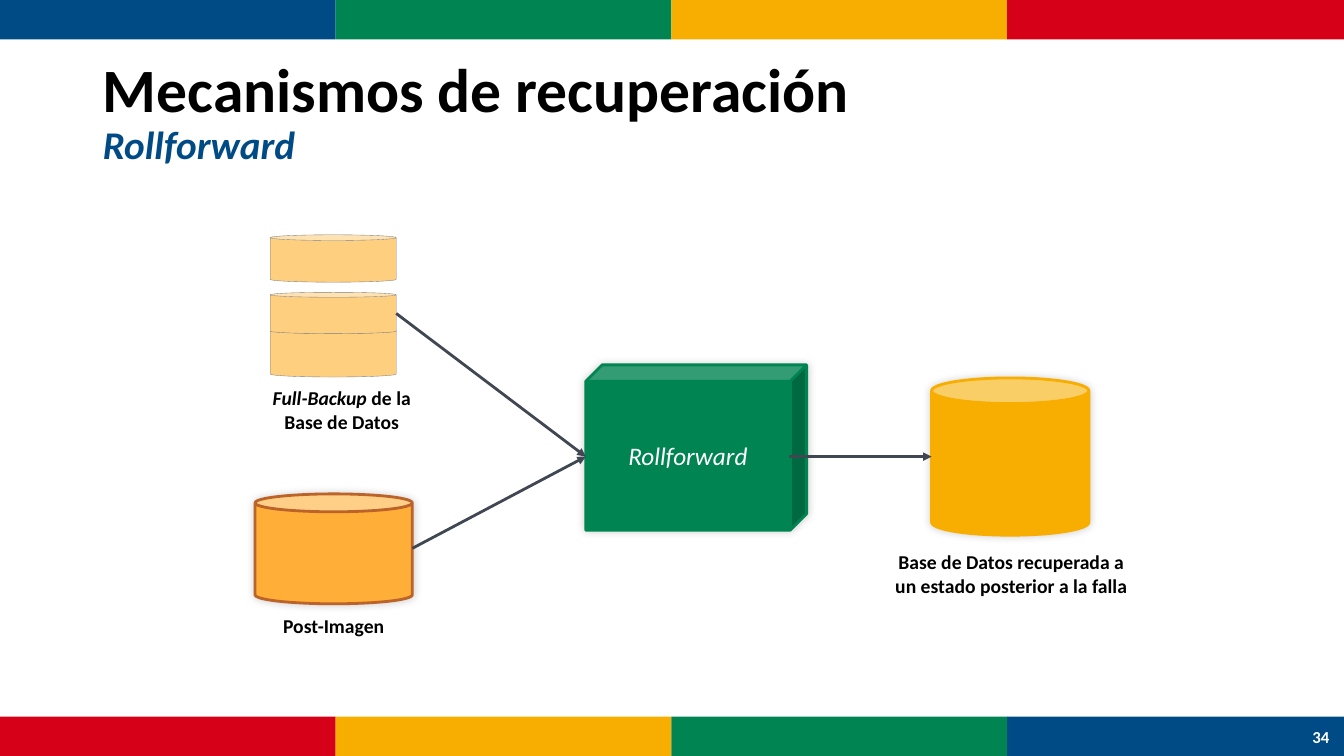
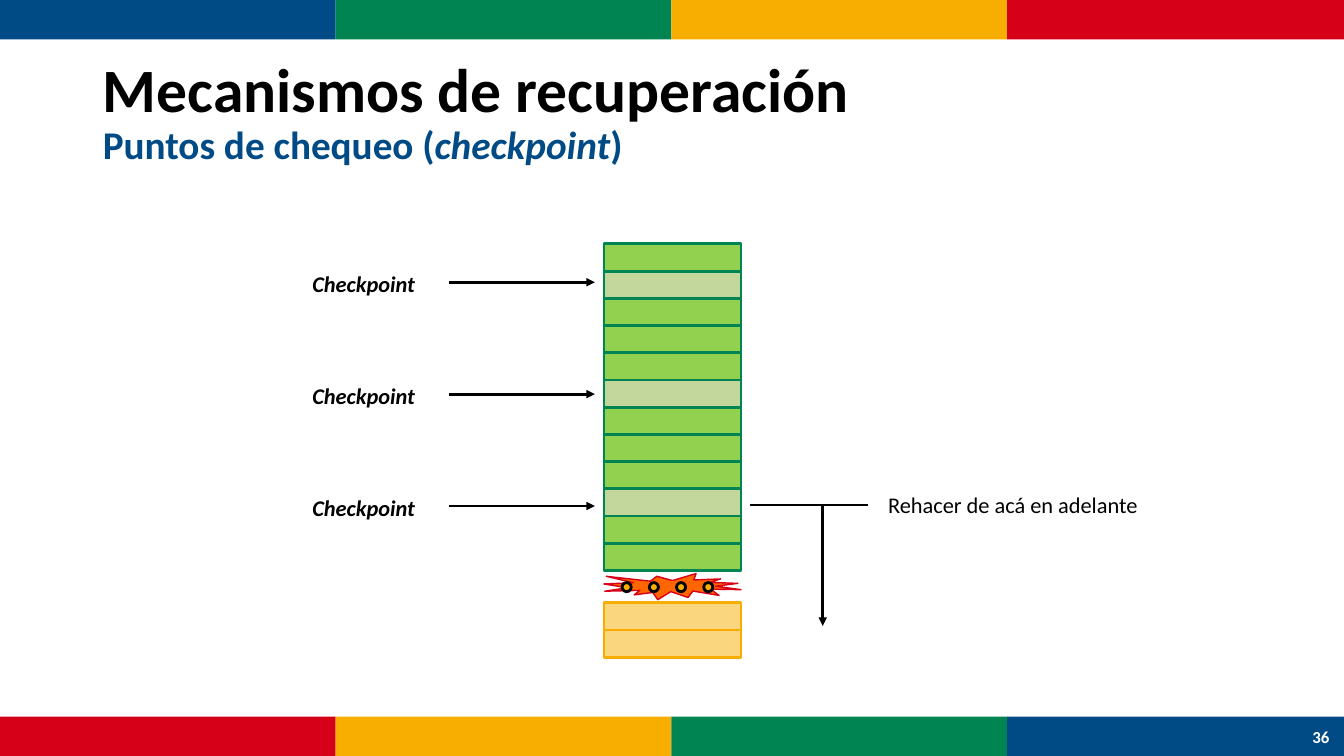
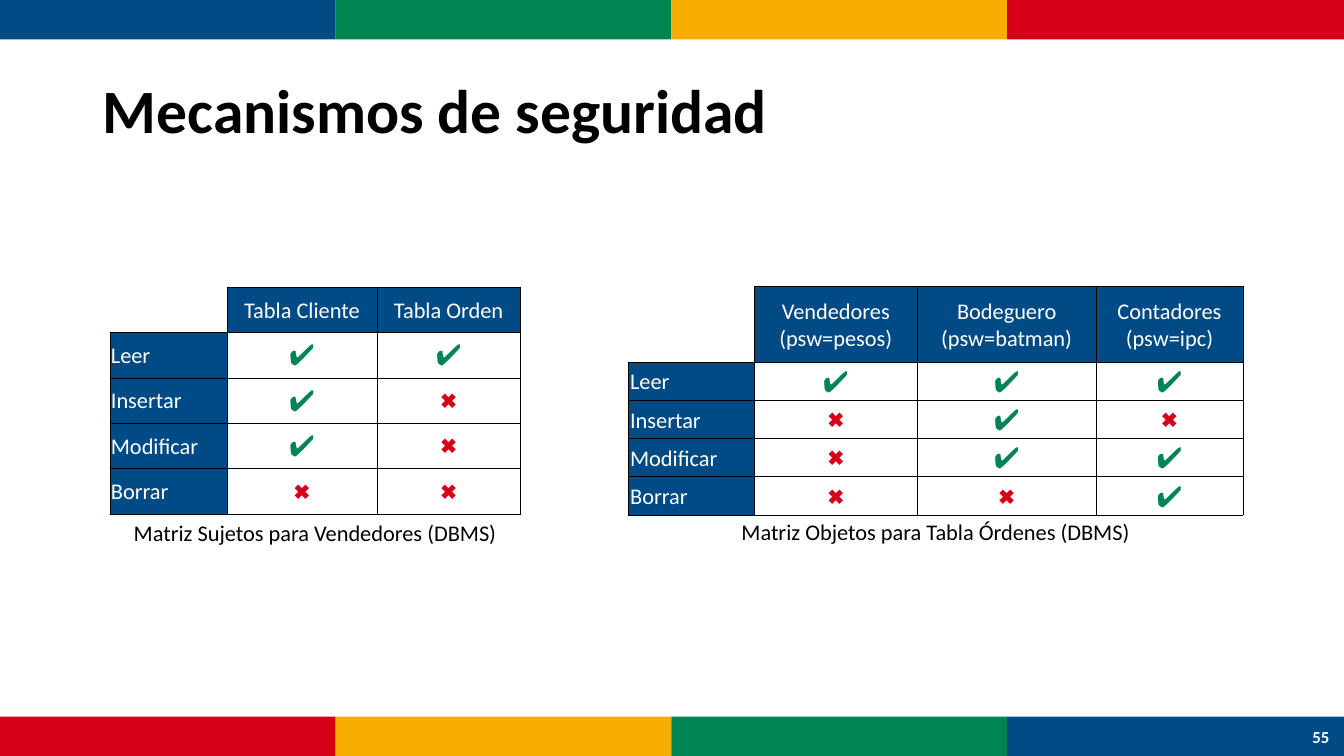
from dataclasses import dataclass, replace
from typing import Optional

from lxml import etree
from pptx import Presentation
from pptx.dml.color import RGBColor
from pptx.enum import shapes, text
from pptx.oxml.ns import qn
from pptx import util as u

PX = 9144
WIDTH, HEIGHT, BAND = 1333, 750, 39
COLORS = {
    "blue": "004B85", "green": "008452", "amber": "F7AE00", "red": "D60019",
    "black": "000000", "white": "FFFFFF", "slate": "414752", "rust": "BC6329",
    "orange": "FFAE37", "peach": "FFCF80", "gray": "808080", "lime": "92D050",
    "sage": "C3D69B", "flame": "FF6600",
}
BAND_COLORS = ("blue", "green", "amber", "red")
KIND = shapes.MSO_SHAPE
CENTER, LEFT = text.PP_ALIGN.CENTER, text.PP_ALIGN.LEFT
MIDDLE, TOP = text.MSO_ANCHOR.MIDDLE, text.MSO_ANCHOR.TOP


@dataclass(frozen=True)
class Style:
    size: int = 16
    color: str = "black"
    bold: bool = False
    italic: bool = False
    font: str = "Calibri"


@dataclass(frozen=True)
class Span:
    words: str
    style: Style = Style()


@dataclass(frozen=True)
class Area:
    left: int
    top: int
    width: int
    height: int

    def emu(self) -> list:
        return [px(n) for n in (self.left, self.top, self.width, self.height)]


@dataclass(frozen=True)
class Look:
    fill: str
    line: Optional[str] = None
    points: float = 2
    alpha: int = 100
    glow: bool = False


@dataclass(frozen=True)
class Matrix:
    area: Area
    columns: tuple
    rows: tuple
    margin: int
    headers: tuple
    marks: tuple
    caption: str


TITLE = Style(44, bold=True)
SUBTITLE = Style(28, "blue", bold=True)
CAPTION = Style(14, bold=True)
CHECKPOINT = Style(16, bold=True, italic=True)
HEADER = Style(16, "white")
MARKS = {"✔": Style(21, "green", font="Arial"), "✖": Style(15, "red", bold=True, font="Arial")}
ACTIONS = ("Leer", "Insertar", "Modificar", "Borrar")
MATRICES = (
    Matrix(Area(109, 285, 407, 225), (116, 149, 142), (45,) * 5, 1,
           ("Tabla Cliente", "Tabla Orden"), ("✔✔", "✔✖", "✔✖", "✖✖"),
           "Matriz Sujetos para Vendedores (DBMS)"),
    Matrix(Area(623, 284, 610, 225), (125, 162, 177, 146), (75,) + (38,) * 4, 2,
           ("Vendedores\n(psw=pesos)", "Bodeguero\n(psw=batman)", "Contadores\n(psw=ipc)"),
           ("✔✔✔", "✖✔✖", "✖✔✔", "✖✖✔"),
           "Matriz Objetos para Tabla Órdenes (DBMS)"),
)


def px(count: int) -> u.Emu:
    return u.Emu(count * PX)


def rgb(name: str) -> RGBColor:
    return RGBColor.from_string(COLORS[name])


def write(frame, *spans: Span, align=LEFT, anchor=TOP):
    frame.word_wrap = True
    frame.vertical_anchor = anchor
    para = frame.paragraphs[0]
    para.alignment = align
    for span in spans:
        for number, line in enumerate(span.words.split("\n")):
            if number:
                para.add_line_break()
            if not line:
                continue
            run = para.add_run()
            run.text = line
            run.font.name = span.style.font
            run.font.size = u.Pt(span.style.size)
            run.font.bold = span.style.bold
            run.font.italic = span.style.italic
            run.font.color.rgb = rgb(span.style.color)
    return para


def add_label(page, area: Area, *spans: Span, align=LEFT, anchor=TOP):
    box = page.shapes.add_textbox(*area.emu())
    write(box.text_frame, *spans, align=align, anchor=anchor)
    return box


def add_figure(page, kind, area: Area, look: Look, adjust: Optional[float] = None):
    figure = page.shapes.add_shape(kind, *area.emu())
    figure.shadow.inherit = False
    figure.fill.solid()
    figure.fill.fore_color.rgb = rgb(look.fill)
    if look.line:
        figure.line.color.rgb = rgb(look.line)
        figure.line.width = u.Pt(look.points)
    else:
        figure.line.fill.background()
    if adjust is not None:
        figure.adjustments[0] = adjust
    properties = figure.element.spPr
    if look.alpha < 100:
        color = properties.find(f"{qn('a:solidFill')}/{qn('a:srgbClr')}")
        etree.SubElement(color, qn("a:alpha"), val=str(look.alpha * 1000))
    if look.glow:
        shadow = etree.SubElement(properties.find(qn("a:effectLst")), qn("a:outerShdw"),
                                  blurRad="76200", dist="0", dir="13500000")
        color = etree.SubElement(shadow, qn("a:srgbClr"), val=COLORS["black"])
        etree.SubElement(color, qn("a:alpha"), val="20000")
    return figure


def add_line(page, start: tuple, end: tuple, color: str = "black", head: bool = True):
    line = page.shapes.add_connector(shapes.MSO_CONNECTOR.STRAIGHT,
                                     *[px(n) for n in start + end])
    line.line.color.rgb = rgb(color)
    line.line.width = u.Pt(2)
    properties = line.element.spPr
    if head:
        etree.SubElement(properties.find(qn("a:ln")), qn("a:tailEnd"), type="triangle")
    etree.SubElement(properties, qn("a:effectLst"))
    return line


def add_bands(page, layout) -> None:
    for top, colors in ((0, BAND_COLORS), (HEIGHT - BAND, BAND_COLORS[::-1])):
        for index, color in enumerate(colors):
            left, right = (WIDTH * edge // 4 for edge in (index, index + 1))
            band = add_figure(page, KIND.RECTANGLE, Area(left, top, right - left, BAND),
                              Look(color))
            layout.shapes.element.append(band.element)


def add_page(deck, number: int, *spans: Span):
    page = deck.slides.add_slide(deck.slide_layouts[5])
    title = page.shapes.title
    title.left, title.top, title.width, title.height = Area(92, 40, 1150, 145).emu()
    para = write(title.text_frame, *spans, anchor=MIDDLE)
    para.line_spacing = 0.9
    title.text_frame.auto_size = text.MSO_AUTO_SIZE.NONE
    add_label(page, Area(1287, 711, 46, 40), Span(str(number), Style(12, "white", bold=True)),
              align=CENTER, anchor=MIDDLE)
    return page


def fill_rollforward(page) -> None:
    for top, height in ((325, 49), (233, 47), (290, 41)):
        add_figure(page, KIND.CAN, Area(268, top, 125, height),
                   Look("peach", "gray", 0.25), 0.12)
    add_figure(page, KIND.CAN, Area(253, 490, 156, 109),
               Look("orange", "rust", glow=True), 0.163)
    add_figure(page, KIND.CAN, Area(924, 375, 156, 156),
               Look("amber", "amber", glow=True), 0.163)
    process = add_figure(page, KIND.CUBE, Area(581, 362, 219, 164),
                         Look("green", "green", glow=True), 0.099)
    write(process.text_frame, Span("Rollforward", Style(18, "white", italic=True)),
          align=CENTER, anchor=MIDDLE)
    for start, end in (((409, 544), (581, 453)), ((393, 311), (581, 453)),
                       ((783, 453), (924, 453))):
        add_line(page, start, end, "slate")
    captions = (
        (Area(245, 378, 188, 57), (Span("Full-Backup", replace(CAPTION, italic=True)),
                                   Span(" de la Base de Datos", CAPTION))),
        (Area(253, 604, 156, 34), (Span("Post-Imagen", CAPTION),)),
        (Area(874, 541, 258, 57),
         (Span("Base de Datos recuperada a un estado posterior a la falla", CAPTION),)),
    )
    for area, spans in captions:
        add_label(page, area, *spans, align=CENTER)


def fill_checkpoints(page) -> None:
    left, width, step = 599, 136, 27
    for row in range(12):
        fill = "sage" if row in (1, 5, 9) else "lime"
        add_figure(page, KIND.RECTANGLE, Area(left, 242 + row * step, width, step),
                   Look(fill, "green"))
    for row in range(2):
        add_figure(page, KIND.RECTANGLE, Area(left, 598 + row * step, width, step),
                   Look("amber", "amber", alpha=50))
    add_figure(page, KIND.EXPLOSION1, Area(left, 569, width, 26), Look("flame", "red", 1))
    for index in range(4):
        add_figure(page, KIND.OVAL, Area(617 + index * step, 578, 9, 9), Look("amber", "black"))
    for index in range(3):
        middle = 280 + index * 111
        label = add_label(page, Area(300, middle - 17, 145, 34), Span("Checkpoint", CHECKPOINT))
        arrow = add_line(page, (445, middle), (590, middle))
        arrow.begin_connect(label, 3)
    add_line(page, (744, 501), (861, 501), head=False)
    add_line(page, (816, 501), (816, 621))
    add_label(page, Area(871, 482, 279, 37), Span("Rehacer de acá en adelante"))


def format_cell(cell, margin: int, span: Optional[Span], fill: Optional[str],
                align, open_sides: str) -> None:
    cell.margin_left = cell.margin_right = cell.margin_top = px(margin)
    cell.margin_bottom = 0
    properties = cell._tc.get_or_add_tcPr()
    for side in "LRTB":
        border = etree.SubElement(properties, qn(f"a:ln{side}"), w="6350")
        if side in open_sides:
            etree.SubElement(border, qn("a:noFill"))
        else:
            solid = etree.SubElement(border, qn("a:solidFill"))
            etree.SubElement(solid, qn("a:srgbClr"), val=COLORS["black"])
    if fill:
        cell.fill.solid()
        cell.fill.fore_color.rgb = rgb(fill)
    else:
        cell.fill.background()
    cell.vertical_anchor = MIDDLE
    if span:
        write(cell.text_frame, span, align=align, anchor=MIDDLE)


def add_matrix(page, matrix: Matrix) -> None:
    area = matrix.area
    table = page.shapes.add_table(len(matrix.rows), len(matrix.columns), *area.emu()).table
    table.first_row = table.horz_banding = False
    for column, width in zip(table.columns, matrix.columns):
        column.width = px(width)
    for row, height in zip(table.rows, matrix.rows):
        row.height = px(height)
    format_cell(table.cell(0, 0), matrix.margin, None, None, LEFT, "LT")
    for column, header in enumerate(matrix.headers, 1):
        format_cell(table.cell(0, column), matrix.margin, Span(header, HEADER), "blue", CENTER, "")
    for row, (action, marks) in enumerate(zip(ACTIONS, matrix.marks), 1):
        format_cell(table.cell(row, 0), matrix.margin, Span(action, HEADER), "blue", LEFT, "")
        for column, mark in enumerate(marks, 1):
            format_cell(table.cell(row, column), matrix.margin, Span(mark, MARKS[mark]),
                        None, CENTER, "")
    add_label(page, Area(area.left, area.top + area.height, area.width, 37),
              Span(matrix.caption), align=CENTER)


def main() -> None:
    deck = Presentation()
    deck.slide_width, deck.slide_height = px(WIDTH), px(HEIGHT)
    recovery = Span("Mecanismos de recuperación\n", TITLE)
    emphasis = replace(SUBTITLE, italic=True)

    rollforward = add_page(deck, 34, recovery, Span("Rollforward", emphasis))
    add_bands(rollforward, deck.slide_layouts[5])
    fill_rollforward(rollforward)

    checkpoints = add_page(deck, 36, recovery, Span("Puntos de chequeo (", SUBTITLE),
                           Span("checkpoint", emphasis), Span(")", SUBTITLE))
    fill_checkpoints(checkpoints)

    security = add_page(deck, 55, Span("Mecanismos de seguridad", TITLE))
    for matrix in MATRICES:
        add_matrix(security, matrix)
    deck.save("out.pptx")


if __name__ == "__main__":
    main()
